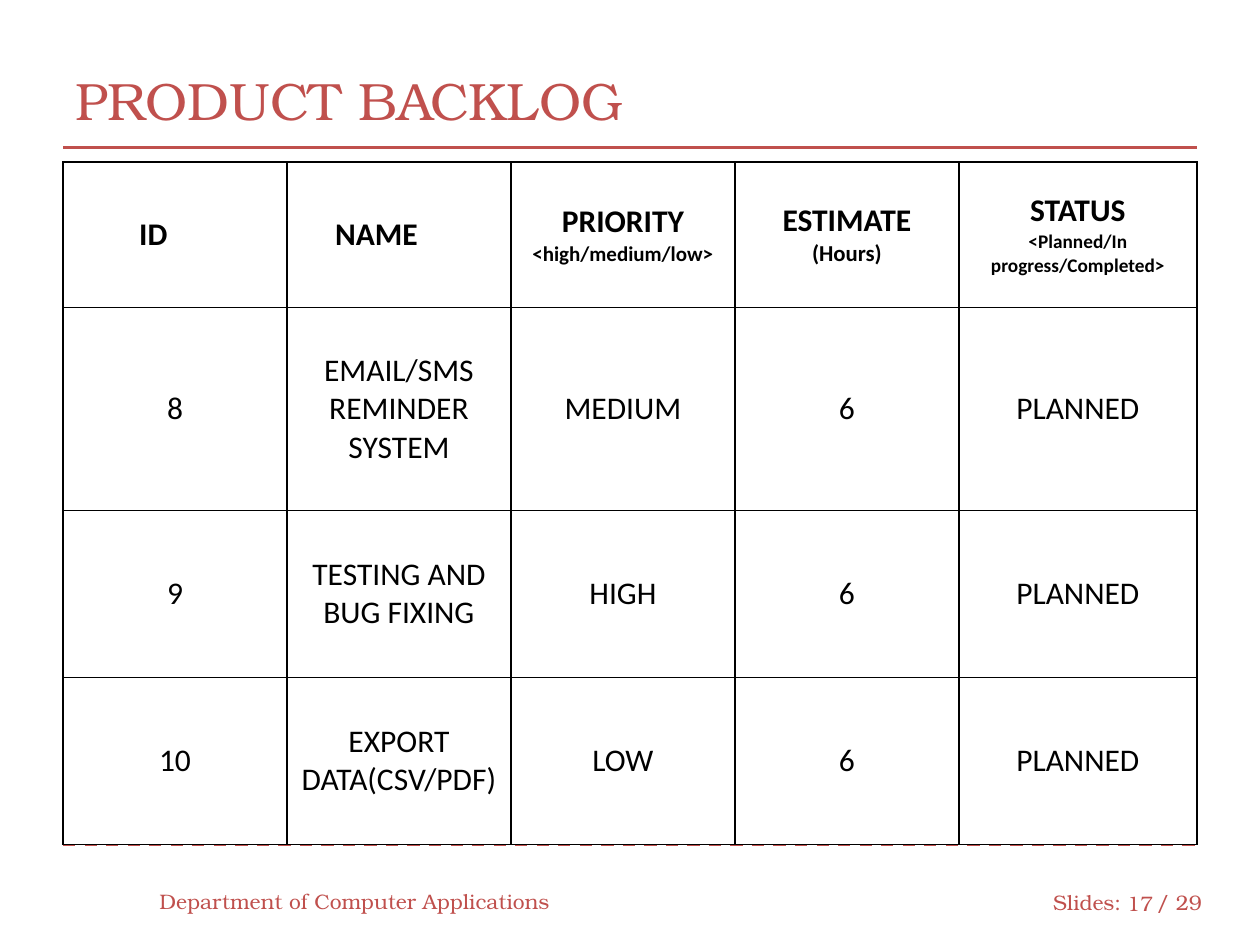
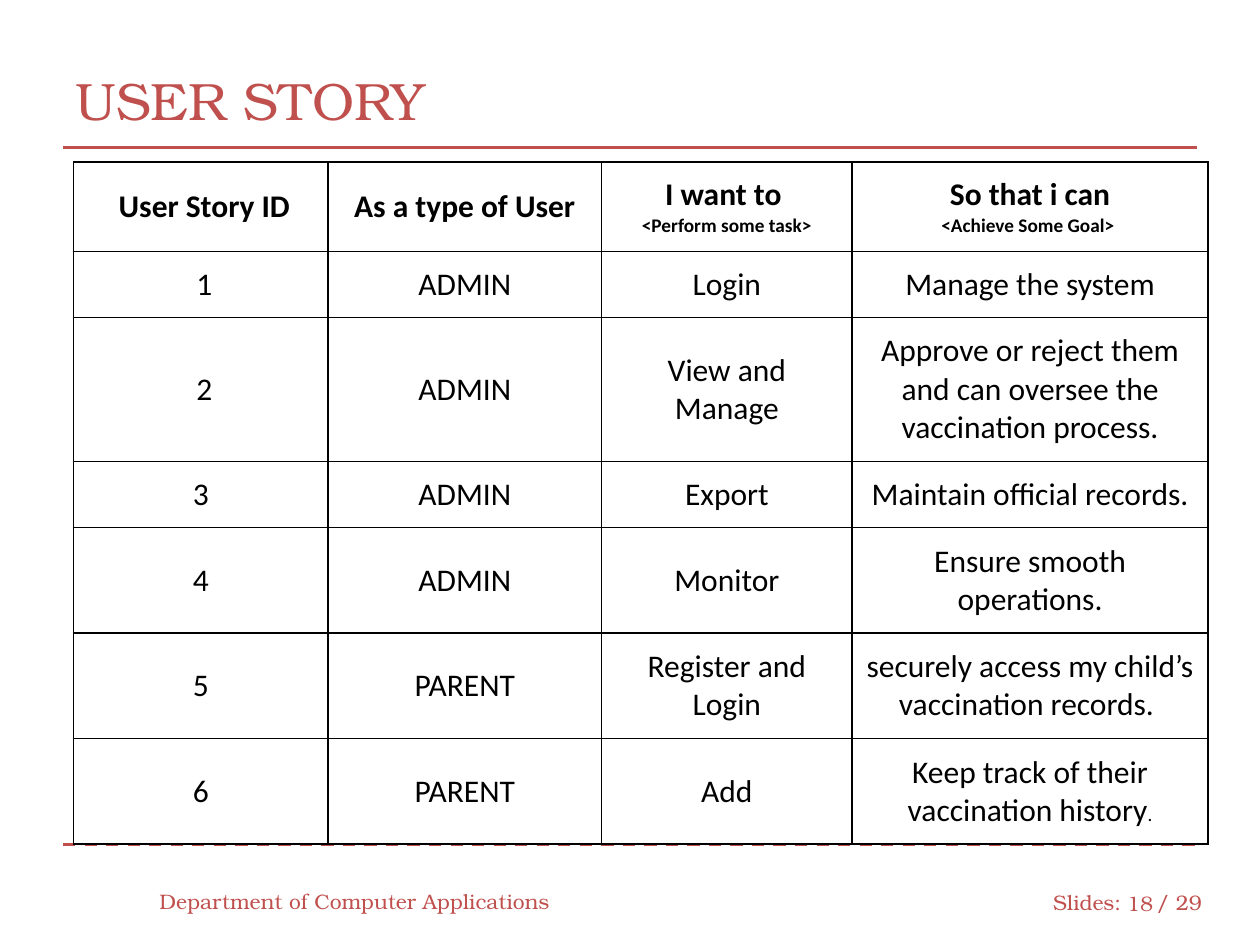
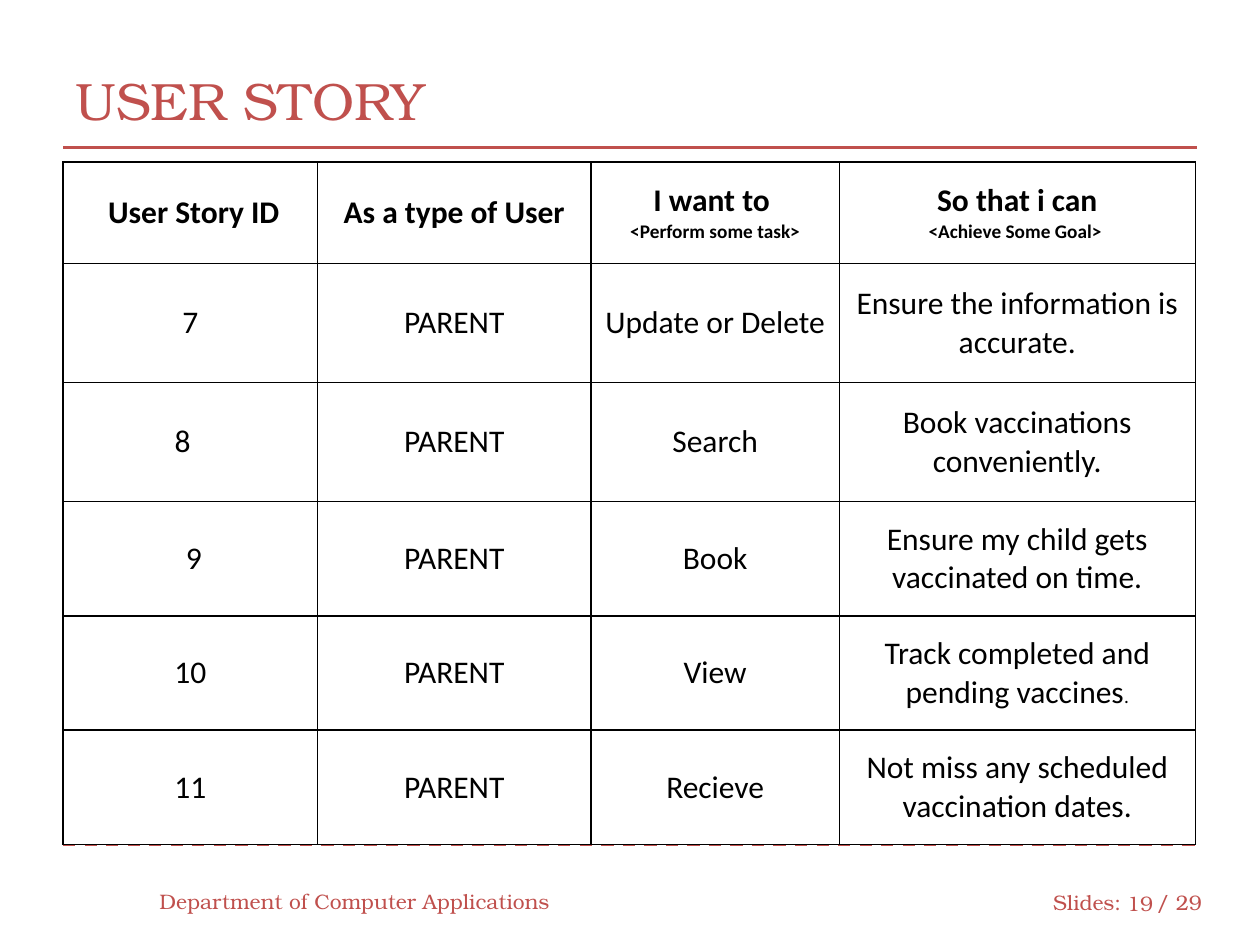
"""Build three agile planning slides: a product backlog and two user story tables."""
from lxml import etree
from pptx import Presentation
from pptx.dml.color import RGBColor
from pptx.enum import dml, shapes, text
from pptx.oxml import ns
from pptx.util import Pt

RED = RGBColor(0xC0, 0x50, 0x4D)
BLACK = RGBColor(0, 0, 0)
WHITE = RGBColor(0xFF, 0xFF, 0xFF)
SERIF = "TeX Gyre Bonum"
SANS = "Calibri"
LEFT, RIGHT = text.PP_ALIGN.LEFT, text.PP_ALIGN.RIGHT
CENTER = text.PP_ALIGN.CENTER
MIDDLE = text.MSO_ANCHOR.MIDDLE
FIRST_NUMBER = 17

STORY_HEADER = [
    " User Story ID",
    "As a type of User",
    [[("I want to ", 18)], [("<Perform some task>", 11)]],
    [[("So that i can", 18)], [("<Achieve Some Goal> ", 11)]],
]

SLIDES = [
    {
        "title": "PRODUCT BACKLOG",
        "left": 36,
        "cols": [128, 128, 128, 128, 136],
        "heights": [83, 116, 95.4, 95.4],
        "right_margins": {(0, 0): 32, (0, 1): 33},
        "rows": [
            ["ID", "NAME",
             [[("PRIORITY", 18)], [("<high/medium/low>", 12)]],
             [[("ESTIMATE", 18)], [("(Hours)", 13)]],
             [[("STATUS", 18)], [("<Planned/In progress/Completed>", 11)]]],
            ["8", "EMAIL/SMS REMINDER SYSTEM", "MEDIUM", "6", "PLANNED"],
            ["9", "TESTING AND BUG FIXING", "HIGH", "6", "PLANNED"],
            ["10", "EXPORT DATA(CSV/PDF)", "LOW", "6", "PLANNED"],
        ],
    },
    {
        "title": "USER STORY",
        "left": 42,
        "cols": [145.5, 156.3, 143.2, 203.4],
        "heights": [51, 37.7, 82.5, 37.7, 60.3, 60.3, 60.3],
        "right_margins": {},
        "rows": [
            STORY_HEADER,
            [" 1", "ADMIN", "Login", "Manage the system"],
            [" 2", "ADMIN", "View and Manage",
             "Approve or reject them and can oversee the vaccination process."],
            ["3", "ADMIN", "Export", "Maintain official records."],
            ["4", "ADMIN", "Monitor", "Ensure smooth operations."],
            ["5", "PARENT", "Register and Login",
             "securely access my child’s vaccination records. "],
            ["6", "PARENT", "Add",
             [[("Keep track of their vaccination history", 18), (".", 11)]]],
        ],
    },
    {
        "title": "USER STORY",
        "left": 36,
        "cols": [145.5, 156.3, 141.9, 203.4],
        "heights": [58, 68, 68, 65.3, 65.3, 65.3],
        "right_margins": {(2, 0): 16},
        "rows": [
            STORY_HEADER,
            ["7", "PARENT", "Update or Delete", "Ensure the information is accurate."],
            ["8", "PARENT", "Search", "Book vaccinations conveniently."],
            [" 9", "PARENT", "Book", "Ensure my child gets vaccinated on time."],
            ["10", "PARENT", "View",
             [[("Track completed and pending vaccines", 18), (".", 11)]]],
            ["11", "PARENT", "Recieve", "Not miss any scheduled vaccination dates."],
        ],
    },
]


def write(tf, paragraphs, font, color, align, bold=False):
    """Fill a text frame with paragraphs given as lists of (text, size) runs."""
    for i, runs in enumerate(paragraphs):
        p = tf.paragraphs[0] if i == 0 else tf.add_paragraph()
        p.alignment = align
        for content, size in runs:
            r = p.add_run()
            r.text = content
            r.font.name = font
            r.font.size = Pt(size)
            r.font.bold = bold
            r.font.color.rgb = color


def add_borders(cell):
    """Draw a thin black line on all four sides of a cell."""
    tc_pr = cell._tc.get_or_add_tcPr()
    for i, side in enumerate(("lnL", "lnR", "lnT", "lnB")):
        ln = etree.Element(ns.qn("a:" + side), w=str(Pt(1)))
        fill = etree.SubElement(ln, ns.qn("a:solidFill"))
        etree.SubElement(fill, ns.qn("a:srgbClr"), val=str(BLACK))
        tc_pr.insert(i, ln)


prs = Presentation()
prs.slide_width, prs.slide_height = Pt(720), Pt(540)

for number, data in enumerate(SLIDES, FIRST_NUMBER):
    s = prs.slides.add_slide(prs.slide_layouts[6])

    for y, dash in ((482.4, dml.MSO_LINE.DASH), (84.2, None)):
        rule = s.shapes.add_connector(
            shapes.MSO_CONNECTOR.STRAIGHT, Pt(36), Pt(y), Pt(684), Pt(y))
        rule.line.color.rgb = RED
        rule.line.width = Pt(1.75)
        rule.line.dash_style = dash
        etree.SubElement(rule._element.spPr, ns.qn("a:effectLst"))

    for content, x, y, w, h, size, align in (
        (data["title"], 36, 23.8, 648, 66.2, 30, LEFT),
        ("Department of Computer Applications", 84, 500.4, 240, 28.8, 12, LEFT),
        ("Slides:", 594.7, 501.1, 54, 28.8, 12, LEFT),
        (str(number), 635.8, 501.8, 30.2, 28.8, 12, RIGHT),
        ("/ 29", 653.8, 501.1, 41.8, 28.8, 12, LEFT),
    ):
        tf = s.shapes.add_textbox(Pt(x), Pt(y), Pt(w), Pt(h)).text_frame
        tf.word_wrap = True
        tf.vertical_anchor = MIDDLE
        write(tf, [[(content, size)]], SERIF, RED, align)

    rows, cols, heights = data["rows"], data["cols"], data["heights"]
    table = s.shapes.add_table(
        len(rows), len(cols), Pt(data["left"]), Pt(92.7),
        Pt(sum(cols)), Pt(sum(heights))).table
    table.first_row = False
    table.horz_banding = False
    for column, width in zip(table.columns, cols):
        column.width = Pt(width)
    for row, height in zip(table.rows, heights):
        row.height = Pt(height)

    for i, row in enumerate(rows):
        for j, content in enumerate(row):
            cell = table.cell(i, j)
            cell.fill.solid()
            cell.fill.fore_color.rgb = WHITE
            cell.vertical_anchor = MIDDLE
            cell.margin_left = cell.margin_top = cell.margin_bottom = Pt(7.2)
            cell.margin_right = Pt(data["right_margins"].get((i, j), 7.2))
            paragraphs = [[(content, 18)]] if isinstance(content, str) else content
            write(cell.text_frame, paragraphs, SANS, BLACK, CENTER, bold=i == 0)
            add_borders(cell)

prs.save("out.pptx")
